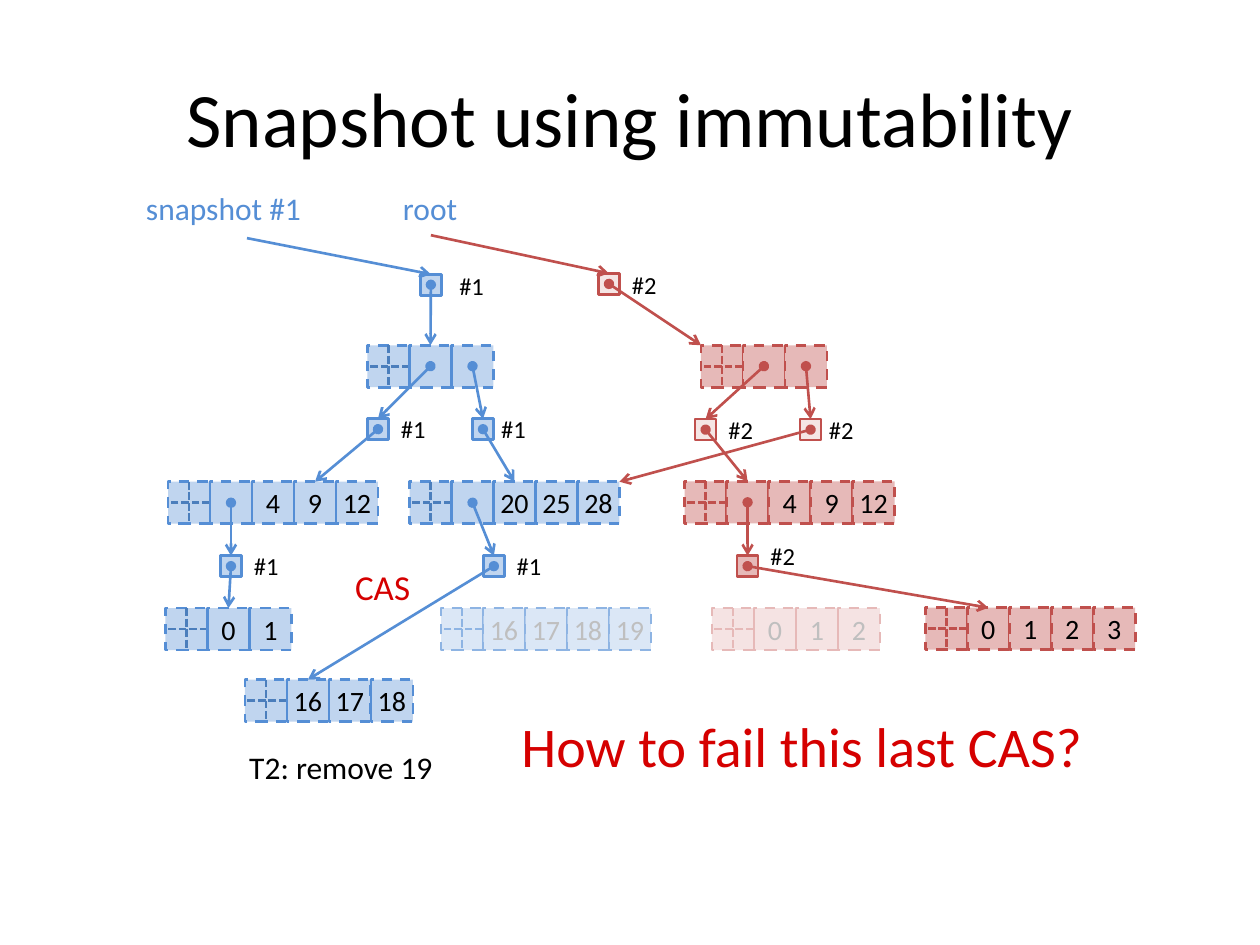
from lxml.etree import SubElement
from pptx import Presentation
from pptx.dml.color import RGBColor
from pptx.enum.dml import MSO_LINE
from pptx.enum.shapes import MSO_CONNECTOR, MSO_SHAPE
from pptx.enum.text import MSO_ANCHOR, MSO_AUTO_SIZE, PP_ALIGN
from pptx.oxml.ns import qn
from pptx.util import Inches, Pt

WIDTH, HEIGHT = Inches(10), Inches(7.5)
CELL = WIDTH / 30  # one column or row of the grid
BLACK, GREY, BLUE, RED, ALERT = "000000", "BFBFBF", "558ED5", "C0504D", "D50000"

# fill, opacity in percent, outline, inner cross, text
PALETTES = {
    "old": (BLUE, 37, BLUE, "4B7EBC", BLACK),
    "old faded": ("C6D9F1", 63, "8EB4E3", "8EB4E3", GREY),
    "new": ("E6B9B8", 100, RED, RED, BLACK),
    "new light": ("E6B9B8", 37, RED, RED, BLACK),
    "new faded": ("E6B9B8", 39, "E6B9B8", "E6B9B8", GREY),
}

# column, row, palette, contents of the cells after the header
NODES = {
    "old root": (8.75, 8.22, "old", ["", ""]),
    "old left": (4, 11.47, "old", ["", "4", "9", "12"]),
    "old right": (9.75, 11.47, "old", ["", "20", "25", "28"]),
    "old leaf": (3.94, 14.48, "old", ["0", "1"]),
    "replaced leaf": (10.5, 14.48, "old faded", ["16", "17", "18", "19"]),
    "removed leaf": (5.83, 16.18, "old", ["16", "17", "18"]),
    "new root": (16.69, 8.22, "new", ["", ""]),
    "new left": (16.3, 11.46, "new", ["", "4", "9", "12"]),
    "pending leaf": (16.95, 14.48, "new faded", ["0", "1", "2"]),
    "new leaf": (22.03, 14.47, "new", ["0", "1", "2", "3"]),
}

# column, row, palette, version, label's shift right and up
REFERENCES = {
    "snapshot": (10.01, 6.53, "old", "#1", 0.63, 0.23),
    "old a": (8.75, 9.97, "old", "#1", 0.5, 0.25),
    "old b": (11.25, 9.97, "old", "#1", 0.39, 0.25),
    "old c": (5.25, 13.23, "old", "#1", 0.5, 0.25),
    "old d": (11.51, 13.23, "old", "#1", 0.5, 0.25),
    "root": (14.25, 6.51, "new light", "#2", 0.5, 0.23),
    "new a": (16.55, 9.98, "new light", "#2", 0.5, 0.25),
    "new b": (19.05, 9.98, "new light", "#2", 0.39, 0.25),
    "new c": (17.55, 13.23, "new", "#2", 0.5, 0.5),
}

# part pointed from, part pointed to, colour; a part is a reference or a node's cell
POINTERS = [
    ("snapshot", ("old root", 1), BLUE),
    (("old root", 1), "old a", BLUE),
    (("old root", 2), "old b", BLUE),
    ("old a", ("old left", 3), BLUE),
    ("old b", ("old right", 2), BLUE),
    (("old left", 1), "old c", BLUE),
    (("old right", 1), "old d", BLUE),
    ("old c", ("old leaf", 1), BLUE),
    ("old d", ("removed leaf", 1), BLUE),
    (("new root", 1), "new a", RED),
    (("new root", 2), "new b", RED),
    ("new a", ("new left", 1), RED),
    (("new left", 1), "new c", RED),
    ("new c", ("new leaf", 1), RED),
]

# text, column, row, columns, rows, size, colour, wrap
CAPTIONS = [
    ("snapshot #1", 3.18, 4.35, 4.35, 1.2, 18, BLUE, False),
    ("root", 9.3, 4.35, 1.92, 1.2, 18, BLUE, False),
    ("CAS", 8.16, 13.32, 1.92, 1.32, 20, ALERT, False),
    ("T2: remove 19", 5.64, 17.67, 5.79, 1.2, 18, BLACK, True),
    ("How to fail this last CAS?", 12.12, 16.8, 14.13, 1.92, 32, ALERT, False),
]


def rgb(hex_value):
    return RGBColor.from_string(hex_value)


def grid(*steps):
    return [round(step * CELL) for step in steps]


def write(frame, text, size, colour, **frame_format):
    for name, value in frame_format.items():
        setattr(frame, name, value)
    paragraph = frame.paragraphs[0]
    paragraph.text = text
    for name, value in {"name": "Calibri", "size": Pt(size)}.items():
        setattr(paragraph.font, name, value)
    paragraph.font.color.rgb = rgb(colour)
    return paragraph


def add_caption(slide, text, col, row, cols, rows, size, colour, wrap):
    box = slide.shapes.add_textbox(*grid(col, row, cols, rows))
    write(box.text_frame, text, size, colour, word_wrap=wrap,
          auto_size=MSO_AUTO_SIZE.SHAPE_TO_FIT_TEXT)


def add_line(shapes, start, end, colour, dash=None, head=None, tail=None):
    line = shapes.add_connector(MSO_CONNECTOR.STRAIGHT, *start, *end)
    line.line.color.rgb = rgb(colour)
    line.line.width = Pt(1.5)
    if dash:
        line.line.dash_style = dash
    properties = line.line._get_or_add_ln()
    for tag, kind in (("a:headEnd", head), ("a:tailEnd", tail)):
        if kind:
            SubElement(properties, qn(tag), type=kind)
    SubElement(line._element.spPr, qn("a:effectLst"))
    return line


def add_square(shapes, left, top, side, palette, dash=None, text=""):
    fill, opacity, outline, _, text_colour = PALETTES[palette]
    square = shapes.add_shape(MSO_SHAPE.RECTANGLE, left, top, side, side)
    square.shadow.inherit = False
    square.fill.solid()
    square.fill.fore_color.rgb = rgb(fill)
    if opacity < 100:
        colour = square._element.spPr.find(qn("a:solidFill"))[0]
        SubElement(colour, qn("a:alpha"), val=str(opacity * 1000))
    square.line.color.rgb = rgb(outline)
    square.line.width = Pt(1.5)
    if dash:
        square.line.dash_style = dash
    if text:
        paragraph = write(square.text_frame, text, 16, text_colour,
                          word_wrap=False, vertical_anchor=MSO_ANCHOR.MIDDLE)
        paragraph.alignment = PP_ALIGN.CENTER
    return square


def add_node(slide, col, row, palette, contents):
    """Draw a crossed header cell and the cells after it; return them all."""
    left, top, side = grid(col, row, 1)
    header = slide.shapes.add_group_shape().shapes
    cells = [add_square(header, left, top, side, palette, MSO_LINE.DASH)]
    middle_x, middle_y = left + side // 2, top + side // 2
    cross = PALETTES[palette][3]
    for start, end in (((middle_x, top), (middle_x, top + side)),
                       ((left + side, middle_y), (left, middle_y))):
        add_line(header, start, end, cross, MSO_LINE.SQUARE_DOT)
    for index, text in enumerate(contents, 1):
        cells.append(add_square(slide.shapes, left + index * side, top, side,
                                palette, MSO_LINE.DASH, text))
    return cells


def add_reference(slide, col, row, palette, version, shift, rise):
    square = add_square(slide.shapes, *grid(col, row, 0.5), palette)
    add_caption(slide, version, col + shift, row - rise, 1.5, 1.02, 14, BLACK, True)
    return square


def center(square):
    return square.left + square.width // 2, square.top + square.height // 2


def add_pointer(slide, start, target, colour, head="oval"):
    """Point from a place to the middle of the target's top side."""
    line = add_line(slide.shapes, start, center(target), colour, head=head, tail="arrow")
    line.end_connect(target, 0)


def add_tree(slide):
    parts = {}
    for name, node in NODES.items():
        for index, cell in enumerate(add_node(slide, *node)):
            parts[name, index] = cell
    for name, reference in REFERENCES.items():
        parts[name] = add_reference(slide, *reference)
    for source, target, colour in POINTERS:
        add_pointer(slide, center(parts[source]), parts[target], colour)

    add_pointer(slide, grid(5.88, 5.67), parts["snapshot"], BLUE, head=None)
    add_pointer(slide, grid(10.26, 5.6), parts["root"], RED, head=None)
    new_root, last = parts["new root", 0], parts["old right", 4]
    for source, corner in (("root", (new_root.left, new_root.top)),
                           ("new b", (last.left + last.width, last.top))):
        add_line(slide.shapes, center(parts[source]), corner, RED, head="oval", tail="arrow")


def add_title(slide, text):
    title = slide.shapes.title
    box = dict(zip(("left", "top", "width", "height"), grid(1.5, 0.9, 27, 3.75)))
    for name, value in box.items():
        setattr(title, name, value)
    paragraph = write(title.text_frame, text, 44, BLACK, vertical_anchor=MSO_ANCHOR.MIDDLE)
    paragraph.alignment = PP_ALIGN.CENTER


def main():
    deck = Presentation()
    deck.slide_width, deck.slide_height = WIDTH, HEIGHT
    slide = deck.slides.add_slide(deck.slide_layouts[5])
    add_title(slide, "Snapshot using immutability")
    add_tree(slide)
    for caption in CAPTIONS:
        add_caption(slide, *caption)
    deck.save("out.pptx")


if __name__ == "__main__":
    main()
